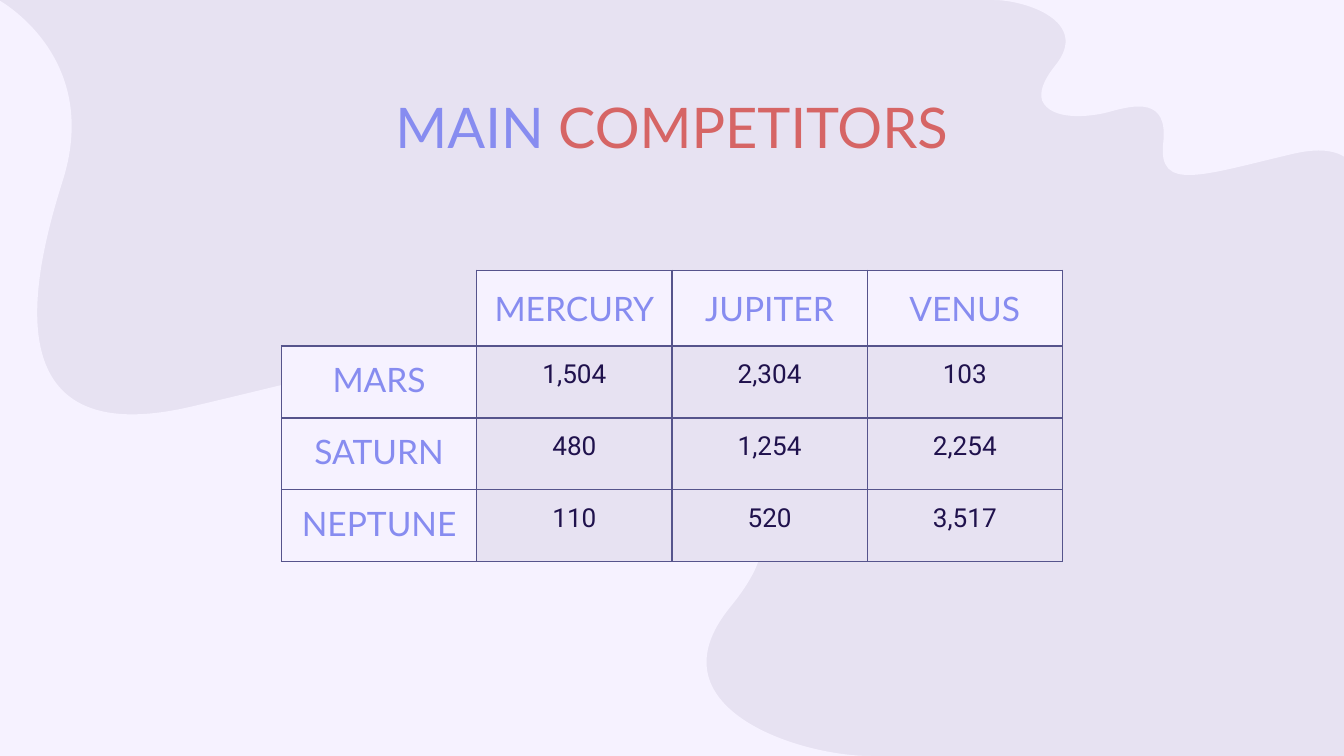
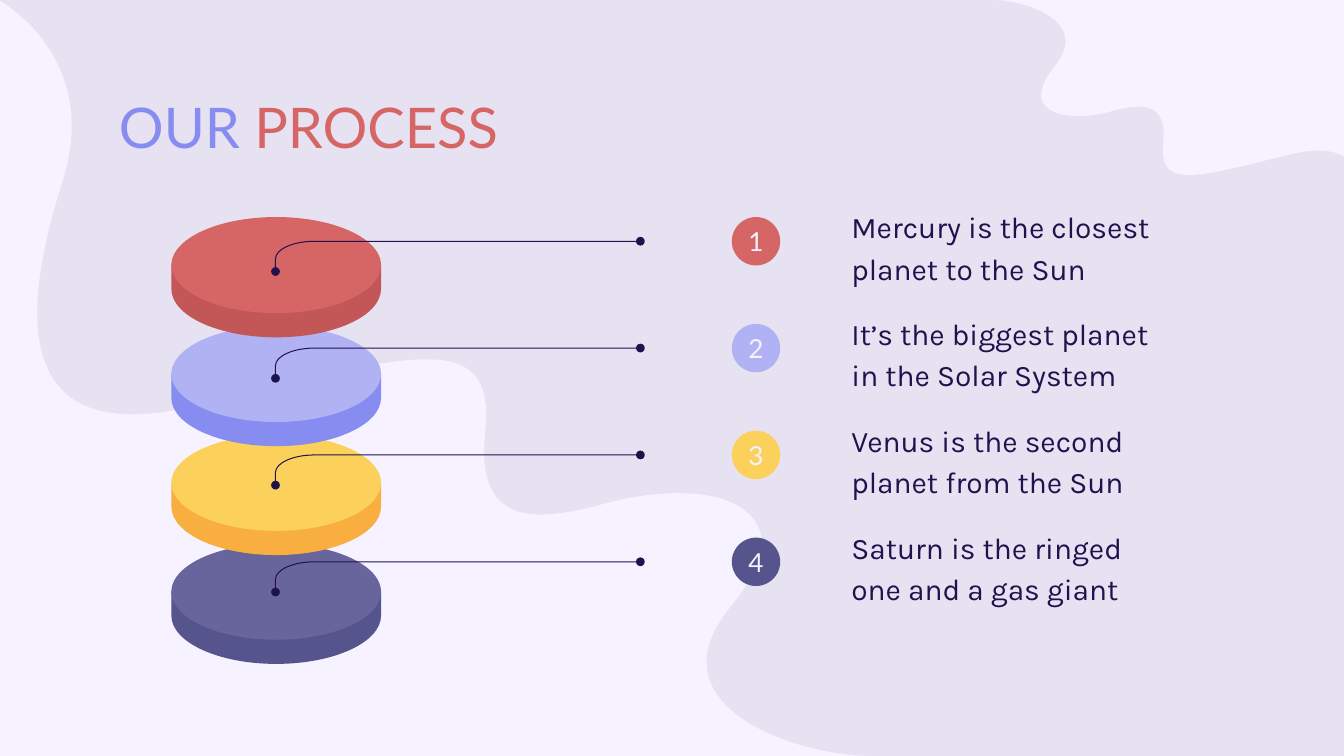
from dataclasses import dataclass
from typing import Any

from lxml.etree import SubElement as Sub
from pptx import Presentation
from pptx.dml.color import RGBColor as Rgb
from pptx.enum.shapes import MSO_SHAPE as Shape
from pptx.enum.text import MSO_ANCHOR as Anchor, MSO_AUTO_SIZE as Fit, PP_ALIGN as Align
from pptx.oxml.ns import qn
from pptx.util import Inches, Pt

# Shared look
BACK, PALE, INK = "E7E2F2", "F6F2FF", "20124D"
BLUE, RED, NAVY = "878CF0", "D66565", "56548C"
LILAC, GOLD = "B1B2F3", "FBD15B"
HEAD, BODY, DATA = "Lato", "Karla", "Roboto"

Point = tuple[float, ...]


@dataclass
class Wave:
    start: Point
    steps: list[Point]  # two numbers make a line, six make a curve


@dataclass
class Stage:
    text: str
    badge: str
    top: str
    side: str


WAVES = [
    Wave((20.08, 3.79), [
        (20.27, 3.19, 20.58, 1.98, 19.24, 2.29),
        (17.88, 2.61, 17.23, 2.86, 17.31, 2.13),
        (17.39, 1.44, 16.88, 1.56, 16.49, 1.67),
        (16.18, 1.75, 15.64, 1.79, 15.51, 1.5),
        (15.47, 1.38, 15.51, 1.22, 15.7, 0.98),
        (16.24, 0.32, 15.26, 0, 14.78, 0),
        (20.51, 0), (20.51, 4.96),
        (20.51, 4.96, 19.83, 4.6, 20.08, 3.79)]),
    Wave((0.94, 2.67), [
        (0.51, 4.03, -0.18, 6.76, 2.85, 6.05),
        (5.94, 5.33, 7.4, 4.77, 7.22, 6.43),
        (7.05, 7.99, 8.2, 7.71, 9.09, 7.47),
        (9.79, 7.29, 11.01, 7.2, 11.29, 7.86),
        (11.41, 8.12, 11.31, 8.49, 10.87, 9.03),
        (9.65, 10.52, 11.87, 11.25, 12.96, 11.25),
        (-0.02, 11.25), (-0.02, 0),
        (-0.02, 0, 1.51, 0.83, 0.94, 2.67)]),
]

GRID = [
    ["", "MERCURY", "JUPITER", "VENUS"],
    ["MARS", "1,504", "2,304", "103"],
    ["SATURN", "480", "1,254", "2,254"],
    ["NEPTUNE", "110", "520", "3,517"],
]

STAGES = [
    Stage("Mercury is the closest planet to the Sun", RED, RED, "C35757"),
    Stage("It’s the biggest planet in the Solar System", LILAC, LILAC, BLUE),
    Stage("Venus is the second planet from the Sun", GOLD, GOLD, "F9AE40"),
    Stage("Saturn is the ringed one and a gas giant", NAVY, "67659C", NAVY),
]


# Helpers
def tint(code: str) -> Rgb:
    return Rgb.from_string(code)


def paint(item: Any, code: str) -> None:
    item.fill.solid()
    item.fill.fore_color.rgb = tint(code)


def place(item: Any, left: float, top: float, width: float, height: float) -> None:
    item.left, item.top = Inches(left), Inches(top)
    item.width, item.height = Inches(width), Inches(height)


def inset(box: Any, anchor: Any = Anchor.TOP, pad: float = 0.2) -> None:
    box.margin_left = box.margin_right = Inches(pad)
    box.margin_top = box.margin_bottom = Inches(pad)
    box.vertical_anchor = anchor


def write(para: Any, text: str, *, size: float, font: str, color: str,
          align: Any = Align.LEFT) -> None:
    para.alignment = align
    run = para.add_run()
    run.text = text
    run.font.size, run.font.name, run.font.bold = Pt(size), font, False
    run.font.color.rgb = tint(color)


def flat(shape: Any, fill: str) -> Any:
    shape.shadow.inherit = False
    paint(shape, fill)
    shape.line.fill.background()
    return shape


def oval(slide: Any, left: float, top: float, width: float, height: float,
         fill: str) -> Any:
    size = map(Inches, (left, top, width, height))
    return flat(slide.shapes.add_shape(Shape.OVAL, *size), fill)


def trace(slide: Any, start: Point, steps: list[Point], close: bool = True) -> Any:
    """Outline whose six-number steps become cubic curves."""
    dots = [(Inches(x), Inches(y)) for step in steps
            for x, y in zip(step[::2], step[1::2])]
    draft = slide.shapes.build_freeform(Inches(start[0]), Inches(start[1]), 1.0)
    draft.add_line_segments(dots, close=close)
    shape = draft.convert_to_shape()
    route = shape.element.find(".//" + qn("a:path"))
    lines = iter(route.findall(qn("a:lnTo")))
    for step in steps:
        first = next(lines)
        if len(step) == 6:
            first.tag = qn("a:cubicBezTo")
            for _ in range(2):
                line = next(lines)
                first.append(line[0])
                route.remove(line)
    return shape


def title(slide: Any, first: str, second: str, align: Any) -> None:
    head = slide.shapes.title
    place(head, 1.57, 1.18, 16.85, 1.25)
    inset(head.text_frame)
    head.text_frame.auto_size = Fit.NONE
    for text, color in ((first + " ", BLUE), (second, RED)):
        write(head.text_frame.paragraphs[0], text, size=60, font=HEAD,
              color=color, align=align)


def border(cell: Any, empty: bool) -> None:
    props = cell._tc.get_or_add_tcPr()
    for side in ("lnL", "lnR", "lnT", "lnB"):
        line = Sub(props, qn(f"a:{side}"), w=str(Pt(1.5)))
        if empty and side in ("lnL", "lnT"):
            Sub(line, qn("a:noFill"))
        else:
            Sub(Sub(line, qn("a:solidFill")), qn("a:srgbClr"), val=NAVY)


# Master: background and waves
def dress(deck: Any, slide: Any) -> None:
    master = deck.slide_master
    paint(master.background, BACK)
    for spot, wave in enumerate(WAVES, 2):
        shape = flat(trace(slide, wave.start, wave.steps), PALE)
        master.shapes.element.insert(spot, shape.element)


# Slide 1: table of rivals
def rivals(slide: Any) -> None:
    title(slide, "MAIN", "COMPETITORS", Align.CENTER)
    frame = slide.shapes.add_table(4, 4, Inches(4.19), Inches(4.02),
                                   Inches(11.62), Inches(4.34))
    table = frame.table
    table.first_row = table.horz_banding = False
    for r, texts in enumerate(GRID):
        table.rows[r].height = Inches(1.07 if r else 1.13)
        for c, text in enumerate(texts):
            cell = table.cell(r, c)
            label = r == 0 or c == 0
            border(cell, not text)
            inset(cell, Anchor.TOP if r else Anchor.MIDDLE)
            if not text:
                cell.fill.background()
                continue
            paint(cell, PALE if label else BACK)
            look = (dict(size=36, font=HEAD, color=BLUE) if label
                    else dict(size=28, font=DATA, color=INK))
            write(cell.text_frame.paragraphs[0], text, align=Align.CENTER, **look)


# Slide 2: stacked discs
def disc(slide: Any, top: float, stage: Stage) -> None:
    left, mid, right = 2.55, 4.11, 5.67
    peak, rim, low, base = (top + gap for gap in (0.36, 0.71, 1.07, 1.79))
    side = trace(slide, (mid, peak), [
        (4.69, peak, 5.19, top + 0.5, 5.46, rim),
        (right, rim), (right, low),
        (right, low + 0.4, 4.97, base, mid, base),
        (3.25, base, left, low + 0.4, left, low),
        (left, rim), (2.76, rim),
        (3.03, top + 0.5, 3.53, peak, mid, peak)])
    flat(side, stage.side)
    oval(slide, left, top, right - left, 1.43, stage.top)


def lead(slide: Any, y: float) -> None:
    left, right, drop, dot = 4.1, 9.53, 0.45, 0.13
    line = trace(slide, (9.47, y), [
        (4.68, y), (4.36, y, left, y + 0.12, left, y + 0.26),
        (left, y + drop)], close=False)
    line.shadow.inherit = False
    line.fill.background()
    line.line.color.rgb = tint(INK)
    line.line.width = Pt(1.08)
    for x, mid in ((left, y + drop), (right, y)):
        oval(slide, x - dot / 2, mid - dot / 2, dot, dot, INK)


def badge(slide: Any, y: float, text: str, fill: str) -> None:
    size = 0.72
    ball = oval(slide, 10.89, y - size / 2, size, size, fill)
    inset(ball.text_frame, Anchor.MIDDLE, pad=0)
    write(ball.text_frame.paragraphs[0], text, size=28, font=HEAD,
          color=PALE, align=Align.CENTER)


def note(holder: Any, y: float, text: str) -> None:
    place(holder, 12.47, y - 0.76, 4.98, 1.53)
    frame = holder.text_frame
    inset(frame)
    frame.word_wrap, frame.auto_size = True, Fit.NONE
    para = frame.paragraphs[0]
    props = para._p.get_or_add_pPr()
    props.set("marL", "0")
    props.set("indent", "0")
    Sub(props, qn("a:buNone"))
    para.line_spacing, para.space_before = 1.15, Pt(0)
    write(para, text, size=32, font=BODY, color=INK)


def process(slide: Any) -> None:
    title(slide, "OUR", "PROCESS", Align.LEFT)
    for n, stage in reversed(list(enumerate(STAGES))):
        disc(slide, 3.23 + 1.62 * n, stage)
    holders = list(slide.placeholders)[1:]
    for n, (stage, holder) in enumerate(zip(STAGES, holders)):
        y = 3.59 + 1.59 * n
        lead(slide, y)
        badge(slide, y, str(n + 1), stage.badge)
        note(holder, y, stage.text)


def main() -> None:
    deck = Presentation()
    deck.slide_width, deck.slide_height = Inches(20), Inches(11.25)
    only, four = deck.slide_layouts[5], deck.slide_layouts[4]
    first = deck.slides.add_slide(only)
    dress(deck, first)
    rivals(first)
    process(deck.slides.add_slide(four))
    deck.save("out.pptx")


if __name__ == "__main__":
    main()
